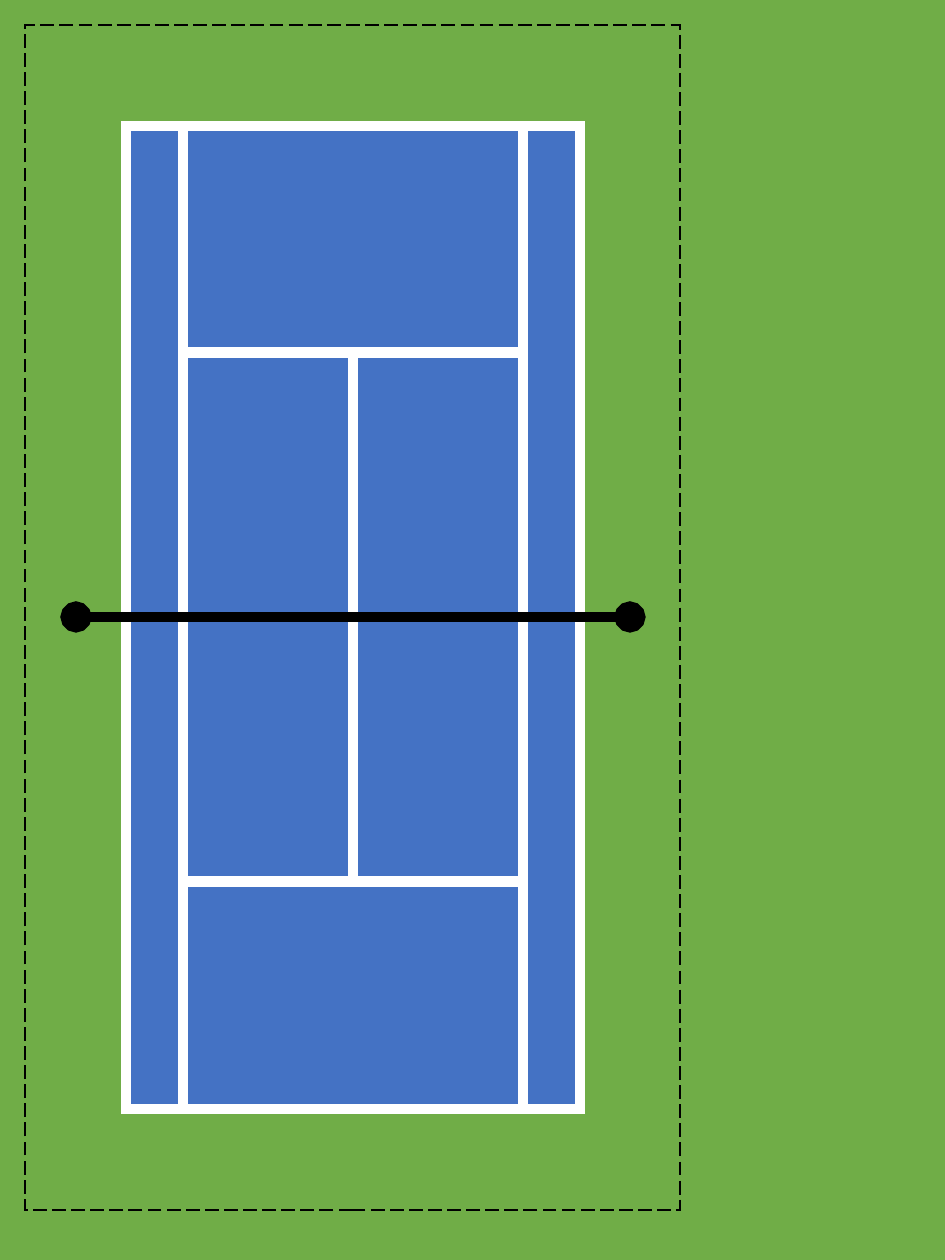
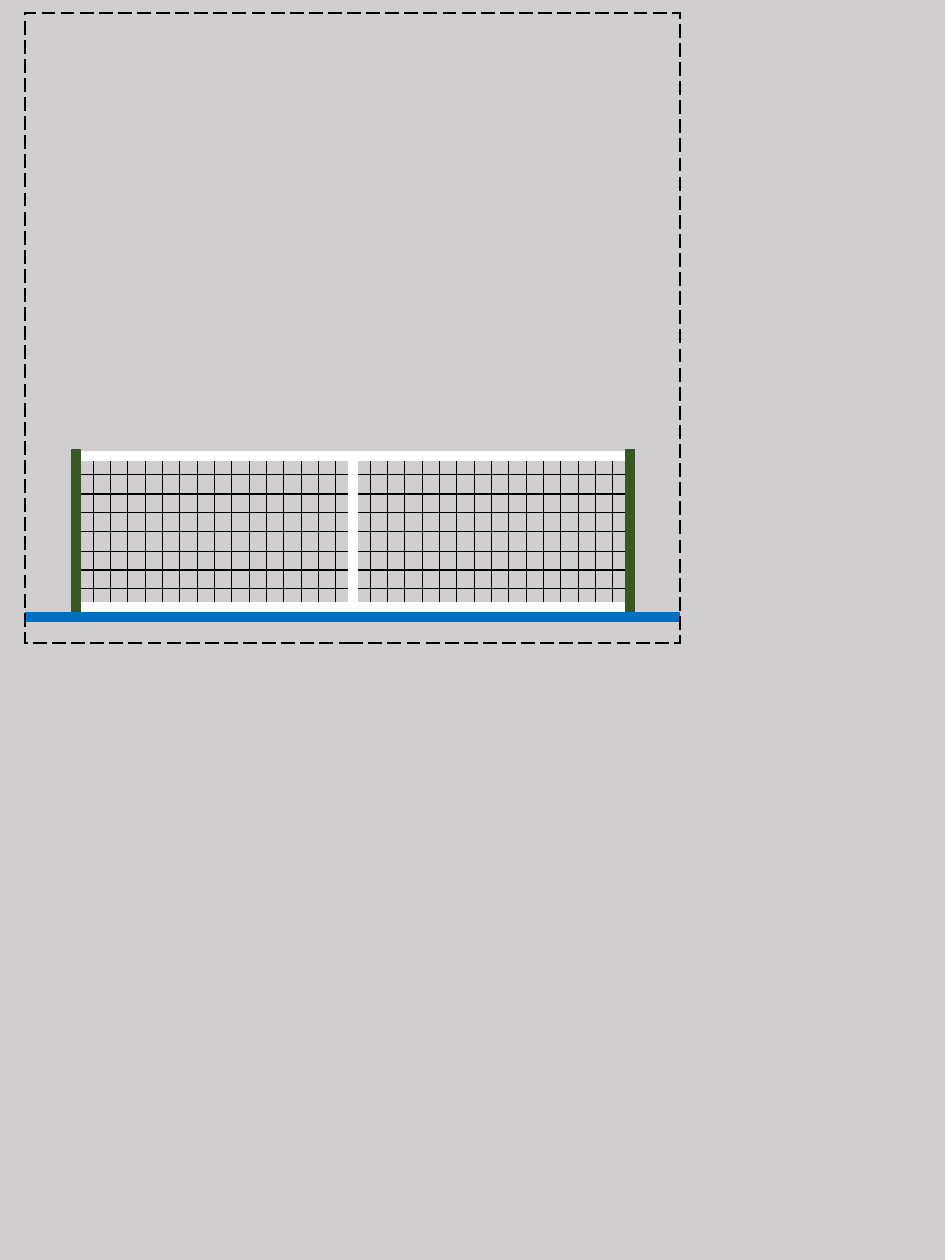
import pptx
import pptx.util
import pptx.dml.color
import pptx.enum.dml
import pptx.enum.shapes
import pptx.oxml.ns
import lxml.etree

PX = 914400 // 126
COLORS = {"grass": "70AD47", "court": "4472C4", "white": "FFFFFF", "black": "000000",
          "wall": "D0CECE", "post": "385723", "ground": "0070C0"}

PAINT = {"color": "white", "width": 6}
CORD = {"color": "black", "width": 0.5}
FRAME = {"color": "black", "width": 1, "dash_style": pptx.enum.dml.MSO_LINE.LONG_DASH}
NET = {"color": "black", "width": 6}
POST = {"color": "post", "width": 6}
GROUND = {"color": "ground", "width": 6}

LEFT, CENTER, RIGHT = 76, 353, 630
FLOOR = 617
COURT_TOP, COURT_H = 126, 983
OUTER = (126, COURT_TOP, 454, COURT_H)
SINGLES_X, BOX_W, BOX_H = 183, 170, 264.5
COURT_FRAME = (25, 25, 655, 1185)

NET_TOP, NET_H = 456, 152
NET_FRAME = (25, 13, 655, 630)
COLUMNS, ROWS = 32, 8
COLUMN_SPANS = {32: [0], 16: [0, 0, 16], 8: [0, 8, 16, 24], 4: [0, 4, 8, 16, 24],
                2: [0, 4, 10, 14, 18, 22, 26, 30], 1: range(0, 32, 2)}
ROW_SPANS = {4: [0], 2: [0, 4], 1: [0, 2, 5, 6]}


def emu(*lengths):
    return [round(v * PX) for v in lengths]


def rgb(name):
    return pptx.dml.color.RGBColor.from_string(COLORS[name])


def style_line(sp, style):
    sp.line.color.rgb = rgb(style["color"])
    formats = {**style, "width": pptx.util.Pt(style["width"])}
    del formats["color"]
    for name, value in formats.items():
        setattr(sp.line, name, value)


def add_tag(parent, tag, **attributes):
    return lxml.etree.SubElement(parent, pptx.oxml.ns.qn(tag), **attributes)


def add_box(shapes, box, style, fill=None):
    sp = shapes.add_shape(pptx.enum.shapes.MSO_SHAPE.RECTANGLE, *emu(*box))
    sp.shadow.inherit = False
    if fill:
        sp.fill.solid()
        sp.fill.fore_color.rgb = rgb(fill)
    else:
        sp.fill.background()
    style_line(sp, style)
    add_tag(sp.line._get_or_add_ln(), "a:miter", lim="800000")


def add_line(shapes, ends, style, cap=None):
    sp = shapes.add_connector(pptx.enum.shapes.MSO_CONNECTOR.STRAIGHT, *emu(*ends))
    style_line(sp, style)
    if cap:
        for tag in ("a:headEnd", "a:tailEnd"):
            add_tag(sp.line._get_or_add_ln(), tag, type=cap)
    add_tag(sp._element.spPr, "a:effectLst")


def add_slide(prs, background):
    s = prs.slides.add_slide(prs.slide_layouts[6])
    s.background.fill.solid()
    s.background.fill.fore_color.rgb = rgb(background)
    return s.shapes


def build_court(prs):
    shapes = add_slide(prs, "grass")
    service_boxes = [(x, y, BOX_W, BOX_H) for y in (FLOOR - BOX_H, FLOOR)
                     for x in (SINGLES_X, SINGLES_X + BOX_W)]
    singles = (SINGLES_X, COURT_TOP, 2 * BOX_W, COURT_H)
    for box in [OUTER, singles, *service_boxes]:
        add_box(shapes, box, PAINT, "court")
    add_line(shapes, (LEFT, FLOOR, RIGHT, FLOOR), NET, "oval")
    add_box(shapes, COURT_FRAME, FRAME)


def build_net(prs):
    shapes = add_slide(prs, "wall")
    net_w = RIGHT - LEFT
    col, row = net_w / COLUMNS, NET_H / ROWS
    mesh = shapes.add_group_shape().shapes
    for span, starts in COLUMN_SPANS.items():
        for start in starts:
            add_box(mesh, (LEFT + start * col, NET_TOP, span * col, NET_H), CORD)
    for span, starts in ROW_SPANS.items():
        for start in starts:
            add_box(mesh, (LEFT, NET_TOP + start * row, net_w, span * row), CORD)
    add_box(shapes, (LEFT, NET_TOP, net_w, NET_H - 1), PAINT)
    for x, top, style in [(LEFT, 449, POST), (RIGHT, 449, POST), (CENTER, 454, PAINT)]:
        add_line(shapes, (x, top, x, FLOOR), style)
    add_line(shapes, (25, FLOOR, 680, FLOOR), GROUND)
    add_box(shapes, NET_FRAME, FRAME)


prs = pptx.Presentation()
prs.slide_width, prs.slide_height = emu(945, 1260)
build_court(prs)
build_net(prs)
prs.save("out.pptx")
